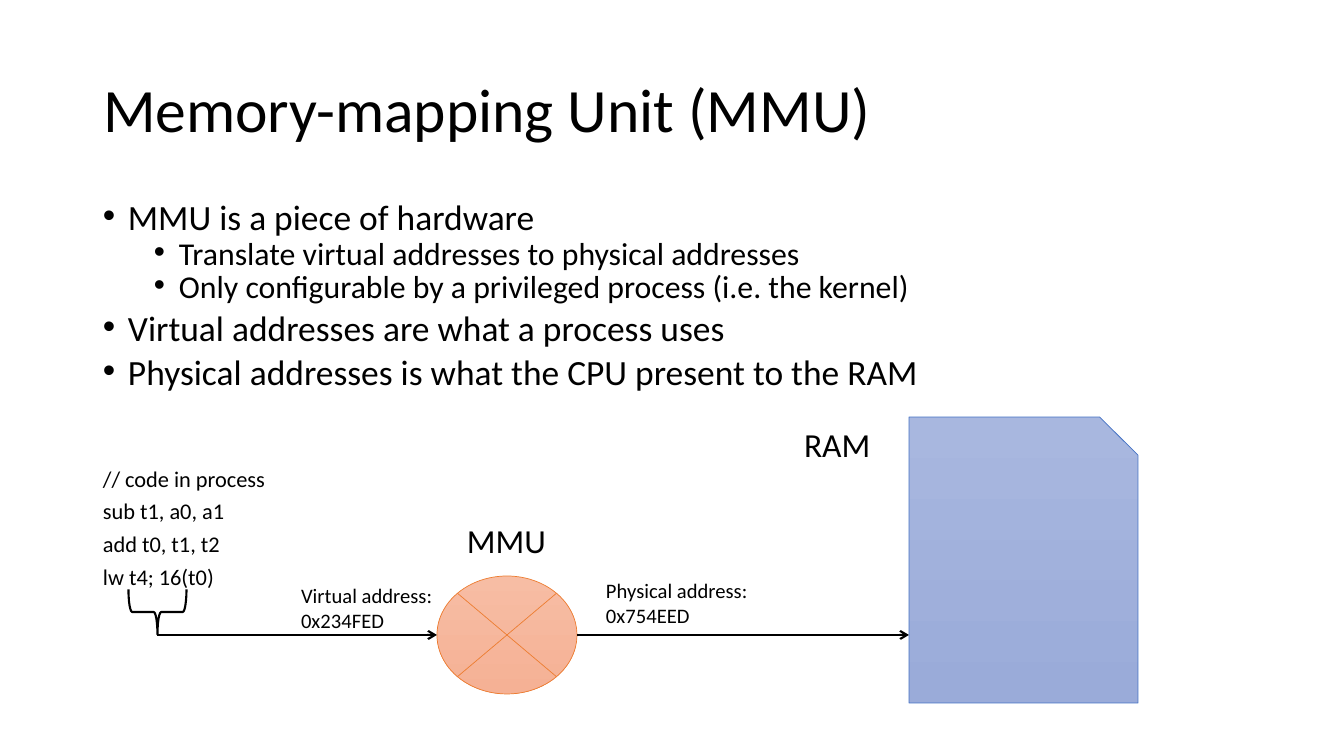
from lxml.etree import SubElement
from pptx import Presentation
from pptx.dml.color import RGBColor
from pptx.enum.shapes import MSO_CONNECTOR, MSO_SHAPE
from pptx.enum.text import MSO_ANCHOR, PP_ALIGN
from pptx.oxml.ns import qn
from pptx.util import Pt

# Content; lengths in px
SCALE = 914400 / 100.8
FONT, BLACK = "Calibri", "000000"
TITLE = "Memory-mapping Unit (MMU)"
BULLETS = [
    (0, "MMU is a piece of hardware"),
    (1, "Translate virtual addresses to physical addresses"),
    (1, "Only configurable by a privileged process (i.e. the kernel)"),
    (0, "Virtual addresses are what a process uses"),
    (0, "Physical addresses is what the CPU present to the RAM"),
]
# Bullet level: size, space before, left indent
LEVELS = [(25.3, 10, 25), (22.7, 5, 76)]
HANGING = 25
CODE = ["// code in process", "sub t1, a0, a1", "add t0, t1, t2", "lw t4; 16(t0)"]
LABELS = [
    (["MMU"], 24, (454, 513, 107, 54)),
    (["RAM"], 24, (791, 417, 94, 54)),
    (["Virtual address:", "0x234FED"], 14.7, (288, 576, 159, 64)),
    (["Physical address:", "0x754EED"], 14.7, (593, 571, 170, 64)),
]
TITLE_BOX = (93, 40, 1159, 146)
BULLETS_BOX = (93, 202, 1159, 200)
CODE_BOX = (93, 467, 300, 130)
BRACE_BOX = (135, 583, 45, 58)
MMU_BOX = (437, 576, 140, 118)
RAM_BOX = (909, 417, 229, 286)


def px(length):
    return round(length * SCALE)


def box(lengths):
    return [px(length) for length in lengths]


def color(hex_string):
    return RGBColor.from_string(hex_string)


def style(paragraph, size, spacing=None, before=0):
    paragraph.font.name = FONT
    paragraph.font.size = Pt(size)
    paragraph.font.color.rgb = color(BLACK)
    paragraph.alignment = PP_ALIGN.LEFT
    paragraph.space_before = Pt(before)
    if spacing:
        paragraph.line_spacing = spacing


def add_text(shapes, lines, place, inset=(10, 5), wrap=True):
    frame = shapes.add_textbox(*box(place)).text_frame
    frame.word_wrap = wrap
    frame.margin_left = frame.margin_right = px(inset[0])
    frame.margin_top = frame.margin_bottom = px(inset[1])
    frame.text = "\n".join(lines)
    return frame.paragraphs


def add_bullet(paragraph, indent):
    props = paragraph._p.get_or_add_pPr()
    props.set("marL", str(px(indent)))
    props.set("indent", str(-px(HANGING)))
    SubElement(props, qn("a:buFont"), typeface="Arial")
    SubElement(props, qn("a:buChar"), char="•")


def add_block(shapes, kind, place, line, weight, gradient=None):
    block = shapes.add_shape(kind, *box(place))
    block.shadow.inherit = False
    block.line.color.rgb = color(line)
    block.line.width = Pt(weight)
    if gradient:
        block.fill.gradient()
        block.fill.gradient_angle = 270
        for stop, shade in zip(block.fill.gradient_stops, gradient):
            stop.color.rgb = color(shade)
    else:
        block.fill.background()
    return block


def add_arrow(shapes, start, end, y):
    arrow = shapes.add_connector(MSO_CONNECTOR.STRAIGHT, *box((start, y, end, y)))
    arrow.line.color.rgb = color(BLACK)
    arrow.line.width = Pt(1.5)
    SubElement(arrow.line._get_or_add_ln(), qn("a:tailEnd"), type="arrow")
    SubElement(arrow._element.spPr, qn("a:effectLst"))


def main():
    deck = Presentation()
    deck.slide_width, deck.slide_height = px(1344), px(756)
    slide = deck.slides.add_slide(deck.slide_layouts[5])
    shapes = slide.shapes

    # Title
    title = shapes.title
    title.left, title.top, title.width, title.height = box(TITLE_BOX)
    title.text_frame.text = TITLE
    title.text_frame.vertical_anchor = MSO_ANCHOR.MIDDLE
    style(title.text_frame.paragraphs[0], 44, 0.9)

    # Bullets
    bullets = add_text(shapes, [text for _, text in BULLETS], BULLETS_BOX)
    for bullet, (level, _) in zip(bullets, BULLETS):
        size, before, indent = LEVELS[level]
        bullet.level = level
        style(bullet, size, 0.7, before)
        add_bullet(bullet, indent)

    # Code in the process
    for code_line in add_text(shapes, CODE, CODE_BOX):
        style(code_line, 16, 0.7, 10)

    # Brace, MMU and RAM
    brace = add_block(shapes, MSO_SHAPE.LEFT_BRACE, BRACE_BOX, BLACK, 1.5)
    brace.rotation = 270
    add_block(shapes, MSO_SHAPE.FLOWCHART_SUMMING_JUNCTION, MMU_BOX,
              "ED7D31", 0.5, ("F7BDA4", "F5B195"))
    add_block(shapes, MSO_SHAPE.SNIP_1_RECTANGLE, RAM_BOX,
              "4472C4", 0.5, ("A8B7DF", "9AABD9"))

    # Address arrows, through the middle of the MMU
    mmu_left, mmu_top, mmu_width, mmu_height = MMU_BOX
    address_y = mmu_top + mmu_height / 2
    brace_tip = BRACE_BOX[0] + BRACE_BOX[2] / 2
    add_arrow(shapes, brace_tip, mmu_left, address_y)
    add_arrow(shapes, mmu_left + mmu_width, RAM_BOX[0], address_y)

    # Labels
    for lines, size, place in LABELS:
        for label_line in add_text(shapes, lines, place, (13, 7), False):
            style(label_line, size)

    deck.save("out.pptx")


if __name__ == "__main__":
    main()
